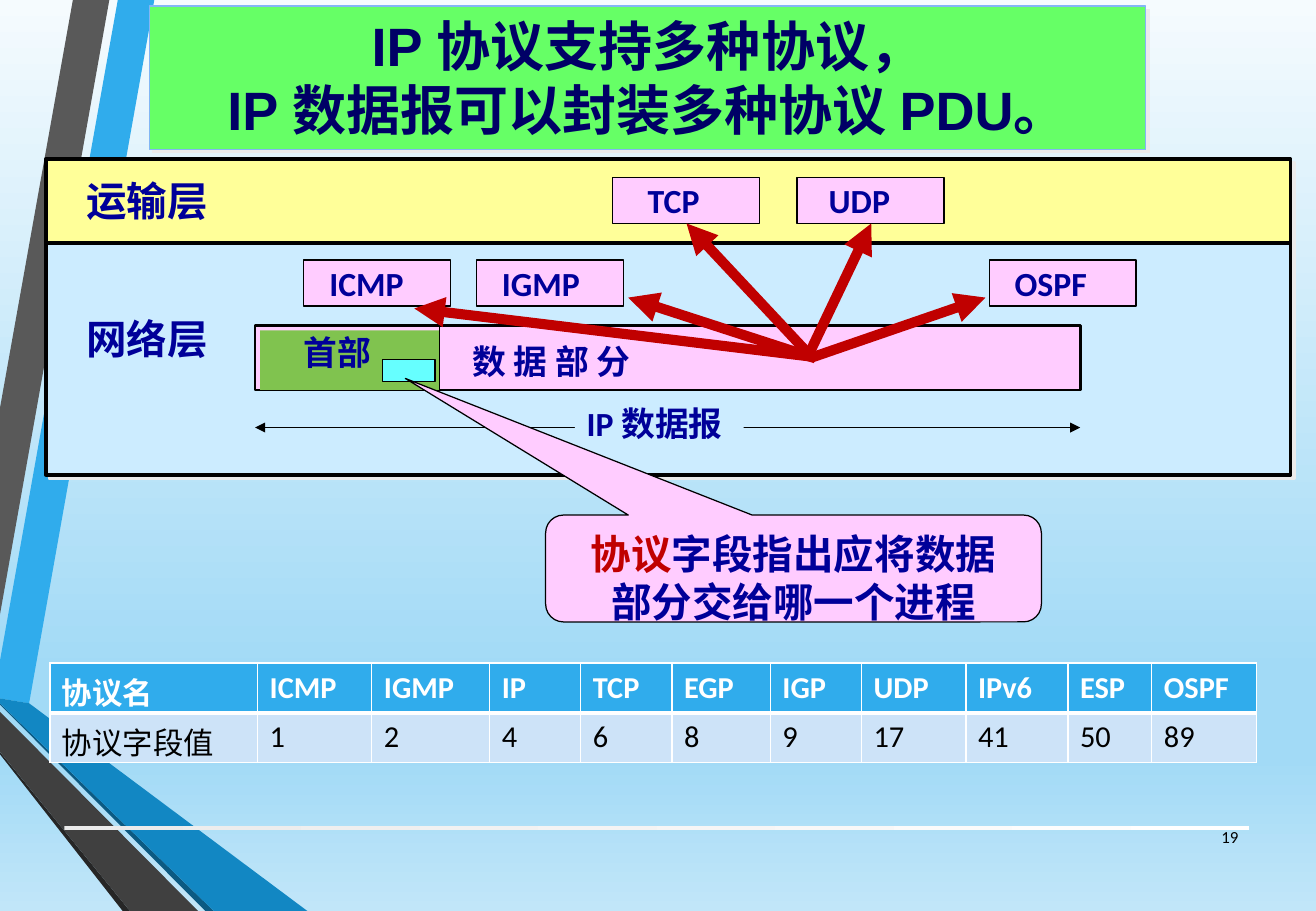
from lxml import etree
from pptx import Presentation
from pptx.dml.color import RGBColor
from pptx.enum import shapes, text
from pptx.oxml import ns
from pptx.util import Inches, Pt

BLACK = RGBColor(0x00, 0x00, 0x00)
WHITE = RGBColor(0xFF, 0xFF, 0xFF)
NAVY = RGBColor(0x00, 0x00, 0x99)
TITLE_NAVY = RGBColor(0x00, 0x00, 0x66)
RED = RGBColor(0xC0, 0x00, 0x00)
PINK = RGBColor(0xFF, 0xCC, 0xFF)
YELLOW = RGBColor(0xFF, 0xFF, 0x99)
PALE_BLUE = RGBColor(0xCC, 0xEC, 0xFF)
LEAF = RGBColor(0x80, 0xC3, 0x4F)
LIME = RGBColor(0x66, 0xFF, 0x66)
AQUA = RGBColor(0x66, 0xFF, 0xFF)
EDGE_BLUE = RGBColor(0x82, 0xB6, 0xF4)
SKY = RGBColor(0x30, 0xAC, 0xEC)
ROW_BLUE = RGBColor(0xCD, 0xE3, 0xF8)
LIGHT_GREY = RGBColor(0xEB, 0xEB, 0xEB)
DARK_GREY = RGBColor(0x59, 0x59, 0x59)
CHARCOAL = RGBColor(0x40, 0x40, 0x40)
SOOT = RGBColor(0x26, 0x26, 0x26)
DEEP_BLUE = RGBColor(0x0C, 0x5A, 0x82)
MID_BLUE = RGBColor(0x12, 0x87, 0xC3)
MIST = RGBColor(0xF5, 0xFB, 0xFE)
AZURE = RGBColor(0xA2, 0xDA, 0xF6)
HAZE = RGBColor(0xC1, 0xE6, 0xF9)

RIBBONS = [
    (SKY, [(0, 5.44), (0, 5.75), (0.24, 5.79), (1.27, 0), (0.97, 0)]),
    (DARK_GREY, [(0.9, 0), (0.6, 0), (0, 3.36), (0, 5.06)]),
    (SOOT, [(0, 6.19), (0, 6.21), (1.01, 7.5), (1.07, 7.5)]),
    (DEEP_BLUE, [(0, 5.79), (0, 5.8), (1.69, 7.5), (1.76, 7.5)]),
    (MID_BLUE, [(0, 5.79), (1.76, 7.5), (2.53, 7.5), (0.24, 5.79), (0, 5.75)]),
    (CHARCOAL, [(0, 6.19), (1.07, 7.5), (1.63, 7.5), (0, 5.86)]),
]
# Name, left, top, text inset
PROTOCOLS = [
    ("TCP", 5.04, 1.46, 0.29), ("UDP", 6.56, 1.46, 0.26),
    ("ICMP", 2.5, 2.14, 0.21), ("IGMP", 3.92, 2.14, 0.21), ("OSPF", 8.14, 2.14, 0.21),
]
DELIVERIES = [
    ((6.66, 2.91), (7.17, 1.84)), ((6.67, 2.93), (5.65, 1.84)),
    ((6.71, 2.95), (5.17, 2.45)), ((6.71, 2.94), (3.41, 2.54)),
    ((6.69, 2.94), (8.11, 2.45)),
]
COLUMNS = [
    ("协议名", "协议字段值", 1.71), ("ICMP", "1", 0.94), ("IGMP", "2", 0.97),
    ("IP", "4", 0.75), ("TCP", "6", 0.75), ("EGP", "8", 0.81), ("IGP", "9", 0.75),
    ("UDP", "17", 0.86), ("IPv6", "41", 0.84), ("ESP", "50", 0.69), ("OSPF", "89", 0.86),
]


def add_xml(parent, tag, **attributes):
    return etree.SubElement(parent, ns.qn(tag), **attributes)


def set_gradient(fill, owner, stops, angle):
    fill.gradient()
    fill.gradient_angle = angle
    stop_list = owner.find(".//" + ns.qn("a:gsLst"))
    for old_stop in list(stop_list):
        stop_list.remove(old_stop)
    for percent, color in stops:
        stop = add_xml(stop_list, "a:gs", pos=str(percent * 1000))
        add_xml(stop, "a:srgbClr", val=str(color))


def format_text(frame, size, color, bold=True, font="Calibri", align=None):
    for para in frame.paragraphs:
        para.alignment = align
        for span in para.runs:
            span.font.name = font
            span.font.size = Pt(size)
            span.font.bold = bold
            span.font.color.rgb = color


def paint(shape, fill, line=None, width=0.75):
    shape.fill.solid()
    shape.fill.fore_color.rgb = fill
    if line is None:
        shape.line.fill.background()
    else:
        shape.line.color.rgb = line
        shape.line.width = Pt(width)


def add_shadow(shape):
    shape.shadow.inherit = False
    effects = shape.element.spPr.find(ns.qn("a:effectLst"))
    shadow = add_xml(effects, "a:outerShdw", dist=str(Pt(2.8)), dir="2700000", algn="ctr")
    add_xml(shadow, "a:srgbClr", val=str(LIGHT_GREY))


def add_box(page, place, fill, line=None, width=0.75, kind=shapes.MSO_SHAPE.RECTANGLE):
    box = page.shapes.add_shape(kind, *map(Inches, place))
    box.shadow.inherit = False
    paint(box, fill, line, width)
    return box


def add_label(page, place, words, size=20):
    box = page.shapes.add_textbox(*map(Inches, place))
    box.text_frame.text = words
    box.text_frame.word_wrap = False
    format_text(box.text_frame, size, NAVY)
    return box


def add_line(page, start, end, color=BLACK, width=0.75, ends=()):
    line = page.shapes.add_connector(
        shapes.MSO_CONNECTOR.STRAIGHT, *map(Inches, start + end))
    line.line.color.rgb = color
    line.line.width = Pt(width)
    properties = line.element.spPr
    for end_tag in ends:
        add_xml(properties.find(ns.qn("a:ln")), end_tag, type="triangle")
    add_xml(properties, "a:effectLst")


def add_ribbon(page, color, points):
    corners = [(Inches(x), Inches(y)) for x, y in points]
    builder = page.shapes.build_freeform(*corners[0])
    builder.add_line_segments(corners[1:], close=True)
    ribbon = builder.convert_to_shape()
    ribbon.shadow.inherit = False
    paint(ribbon, color)


def add_title(page):
    title = page.shapes.title
    title.element.getparent().append(title.element)  # in front of the ribbons
    title.left, title.top, title.width, title.height = map(Inches, (1.23, 0.05, 8.2, 1.18))
    paint(title, LIME, EDGE_BLUE)
    add_shadow(title)
    frame = title.text_frame
    frame.text = "IP 协议支持多种协议，\nIP 数据报可以封装多种协议 PDU。"
    frame.auto_size = text.MSO_AUTO_SIZE.NONE
    frame.vertical_anchor = text.MSO_ANCHOR.TOP
    format_text(frame, 32, TITLE_NAVY, font="Arial", align=text.PP_ALIGN.CENTER)


def add_protocol(page, name, left, top, inset):
    frame = add_box(page, (left, top, 1.21, 0.38), PINK, BLACK).text_frame
    frame.text = name
    frame.word_wrap = False
    frame.margin_left = Inches(inset)
    frame.margin_top = frame.margin_bottom = 0
    format_text(frame, 20, NAVY, align=text.PP_ALIGN.LEFT)


def add_callout(page):
    callout = add_box(page, (4.49, 4.24, 4.08, 0.88), PINK, BLACK,
                      kind=shapes.MSO_SHAPE.ROUNDED_RECTANGULAR_CALLOUT)
    for index, value in enumerate((-0.783, -1.778, 0.167)):
        callout.adjustments[index] = round(value, 3)
    frame = callout.text_frame
    frame.text = "协议\n部分交给哪一个进程"
    frame.paragraphs[0].add_run().text = "字段指出应将数据"
    frame.vertical_anchor = text.MSO_ANCHOR.TOP
    frame.margin_top = Inches(0.07)
    frame.margin_bottom = 0
    format_text(frame, 24, NAVY, align=text.PP_ALIGN.CENTER)
    frame.paragraphs[0].runs[0].font.color.rgb = RED


def fill_cell(cell, words, fill, color, bold, bottom):
    cell.text = words
    format_text(cell.text_frame, 18, color, bold)
    properties = cell._tc.get_or_add_tcPr()
    for side, width in (("L", 1), ("R", 1), ("T", 1), ("B", bottom)):
        border = add_xml(properties, "a:ln" + side, w=str(Pt(width)))
        add_xml(add_xml(border, "a:solidFill"), "a:srgbClr", val=str(WHITE))
    cell.fill.solid()
    cell.fill.fore_color.rgb = fill


def add_protocol_table(page):
    table = page.shapes.add_table(
        2, len(COLUMNS), *map(Inches, (0.41, 5.46, 9.93, 0.82))).table
    for row in table.rows:
        row.height = Inches(0.41)
    for index, (name, value, width) in enumerate(COLUMNS):
        table.columns[index].width = Inches(width)
        fill_cell(table.cell(0, index), name, SKY, WHITE, True, 3)
        fill_cell(table.cell(1, index), value, ROW_BLUE, BLACK, False, 1)


def main():
    deck = Presentation()
    deck.slide_width, deck.slide_height = Inches(10.83), Inches(7.5)
    page = deck.slides.add_slide(deck.slide_layouts[5])

    # Backdrop
    sky_stops = [(0, MIST), (74, AZURE), (83, AZURE), (100, HAZE)]
    set_gradient(page.background.fill, page.element, sky_stops, 270)
    for color, points in RIBBONS:
        add_ribbon(page, color, points)
    rule = add_box(page, (0.53, 6.8, 9.75, 0.03), WHITE)
    set_gradient(rule.fill, rule.element, [(0, LIGHT_GREY), (100, WHITE)], 0)
    add_title(page)

    # Layers
    for name, top, height, label_top, fill in (
            ("运输层", 1.31, 0.69, 1.4, YELLOW), ("网络层", 2, 1.91, 2.54, PALE_BLUE)):
        add_shadow(add_box(page, (0.38, top, 10.24, height), fill, BLACK, 2.25))
        add_label(page, (0.61, label_top, 1.22, 0.5), name, 24)

    # Datagram
    add_box(page, (2.1, 2.68, 6.79, 0.53), PINK, BLACK, 1.5)
    add_box(page, (2.14, 2.72, 1.48, 0.49), LEAF)
    add_line(page, (3.62, 2.68), (3.62, 3.22))
    add_label(page, (2.4, 2.68, 0.76, 0.44), "首部")

    # Protocols that receive the data
    for protocol in PROTOCOLS:
        add_protocol(page, *protocol)
    for start, end in DELIVERIES:
        add_line(page, start, end, RED, 6, ["a:tailEnd"])
    add_label(page, (3.79, 2.76, 1.56, 0.44), "数 据 部 分")

    # Datagram extent
    add_line(page, (2.1, 3.52), (8.89, 3.52), width=1, ends=["a:headEnd", "a:tailEnd"])
    paint(add_label(page, (4.73, 3.27, 1.39, 0.44), "IP 数据报"), PALE_BLUE)

    # Protocol field and its explanation
    add_box(page, (3.15, 2.96, 0.43, 0.18), AQUA, BLACK)
    add_callout(page)
    add_protocol_table(page)

    # Page number
    number = page.shapes.add_textbox(*map(Inches, (9.8, 6.69, 0.49, 0.4))).text_frame
    number.text = "19"
    number.word_wrap = True
    number.vertical_anchor = text.MSO_ANCHOR.MIDDLE
    format_text(number, 10, BLACK, False, align=text.PP_ALIGN.RIGHT)
    deck.save("out.pptx")


if __name__ == "__main__":
    main()
